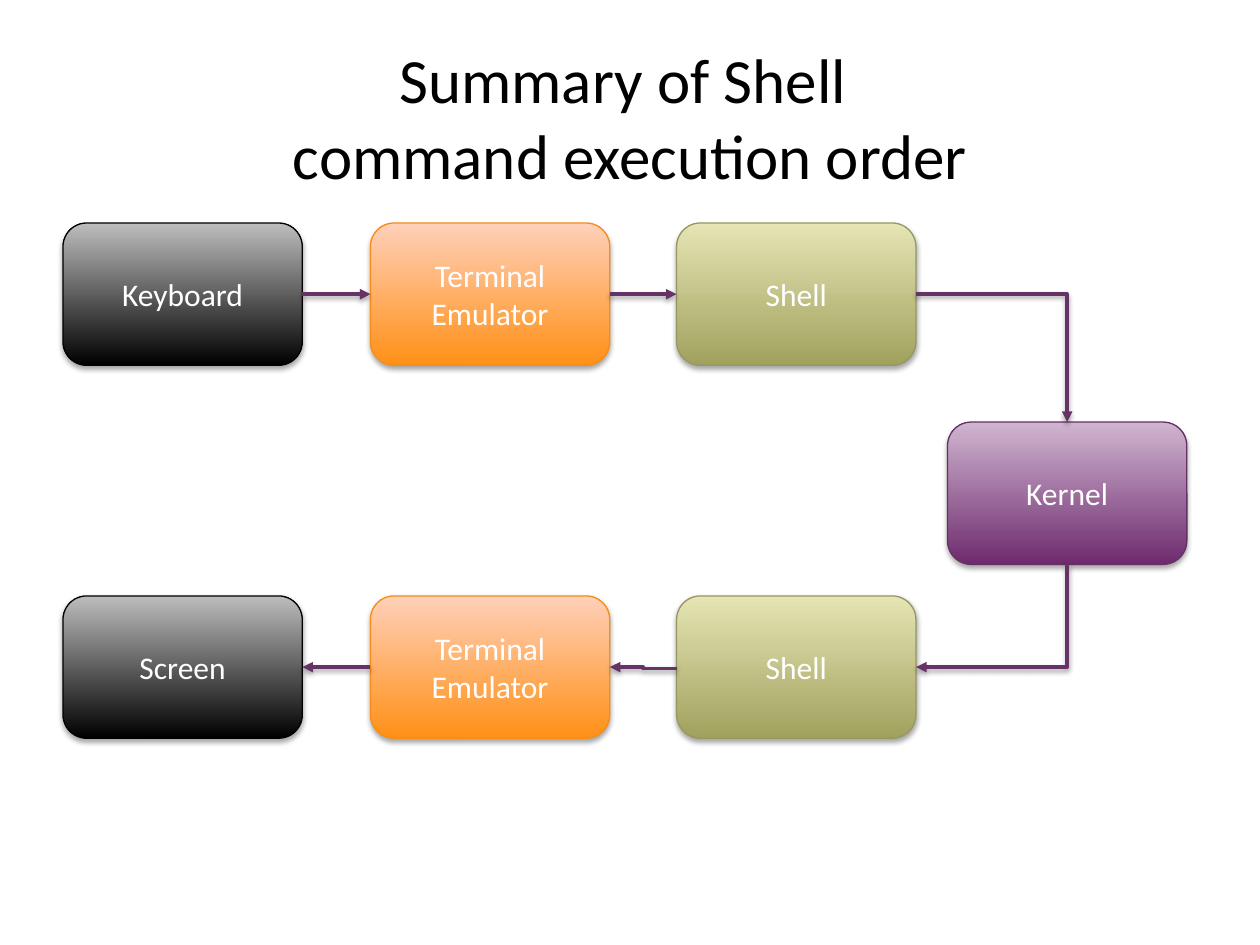
import dataclasses
import typing

import lxml.etree
import pptx
import pptx.dml.color
import pptx.enum.shapes
import pptx.enum.text
import pptx.oxml.ns
import pptx.util

FONT = "Calibri"
ARROW_COLOUR = "663366"
COLUMNS = (0.5, 2.94, 5.37, 7.52)
ROWS = (1.77, 3.35, 4.73)
BOX_WIDTH, BOX_HEIGHT = 1.9, 1.13
TOP, LEFT, BOTTOM, RIGHT = range(4)
JOG = 0.01


@dataclasses.dataclass(frozen=True)
class Palette:
    bottom: str
    top: str
    outline: str


@dataclasses.dataclass(frozen=True)
class Stage:
    label: str
    column: int
    row: int
    palette: Palette


BLACK = Palette("000000", "BDBDBD", "000000")
ORANGE = Palette("FF9016", "FFD0B9", "F78D18")
OLIVE = Palette("A1A15E", "E5E5B5", "979763")
PURPLE = Palette("6E2B6E", "D0B5D0", "653165")

STAGES = (
    Stage("Keyboard", 0, 0, BLACK),
    Stage("Terminal Emulator", 1, 0, ORANGE),
    Stage("Shell", 2, 0, OLIVE),
    Stage("Kernel", 3, 1, PURPLE),
    Stage("Screen", 0, 2, BLACK),
    Stage("Terminal Emulator", 1, 2, ORANGE),
    Stage("Shell", 2, 2, OLIVE),
)


def colour(value: str) -> pptx.dml.color.RGBColor:
    return pptx.dml.color.RGBColor.from_string(value)


def add_element(parent: typing.Any, tag: str, **attributes: typing.Any) -> typing.Any:
    values = {name: str(value) for name, value in attributes.items()}
    return lxml.etree.SubElement(parent, pptx.oxml.ns.qn(tag), values)


def add_shadow(shape: typing.Any, opacity: int, distance: float) -> None:
    effects = add_element(shape._element.spPr, "a:effectLst")
    shadow = add_element(
        effects, "a:outerShdw", blurRad=pptx.util.Pt(3.1),
        dist=pptx.util.Pt(distance), dir=90 * 60000, rotWithShape=0,
    )
    black = add_element(shadow, "a:srgbClr", val="000000")
    add_element(black, "a:alpha", val=opacity * 1000)


def format_run(run: typing.Any, size: int, text_colour: str) -> None:
    run.font.name = FONT
    run.font.size = pptx.util.Pt(size)
    run.font.color.rgb = colour(text_colour)


def write_title(title: typing.Any) -> None:
    title.left, title.top, title.width, title.height = map(
        pptx.util.Inches, (0.5, 0.3, 9, 1.25)
    )
    title.text_frame.vertical_anchor = pptx.enum.text.MSO_ANCHOR.MIDDLE
    paragraph = title.text_frame.paragraphs[0]
    paragraph.alignment = pptx.enum.text.PP_ALIGN.CENTER
    first_line = paragraph.add_run()
    first_line.text = "Summary of Shell "
    paragraph.add_line_break()
    second_line = paragraph.add_run()
    second_line.text = "command execution order"
    for run in (first_line, second_line):
        format_run(run, 36, "000000")


def add_stage(slide: typing.Any, stage: Stage) -> typing.Any:
    shape = slide.shapes.add_shape(
        pptx.enum.shapes.MSO_SHAPE.ROUNDED_RECTANGLE,
        *map(pptx.util.Inches, (COLUMNS[stage.column], ROWS[stage.row], BOX_WIDTH, BOX_HEIGHT)),
    )
    shape.fill.gradient()
    shape.fill.gradient_angle = 90
    for stop, position, value in zip(
        shape.fill.gradient_stops, (0, 1), (stage.palette.bottom, stage.palette.top)
    ):
        stop.position = position
        stop.color.rgb = colour(value)
    shape.line.color.rgb = colour(stage.palette.outline)
    shape.line.width = pptx.util.Pt(0.75)
    add_shadow(shape, 35, 1.8)
    shape.text_frame.word_wrap = True
    shape.text_frame.vertical_anchor = pptx.enum.text.MSO_ANCHOR.MIDDLE
    paragraph = shape.text_frame.paragraphs[0]
    paragraph.alignment = pptx.enum.text.PP_ALIGN.CENTER
    run = paragraph.add_run()
    run.text = stage.label
    format_run(run, 18, "FFFFFF")
    return shape


def side_point(shape: typing.Any, side: int) -> tuple[int, int]:
    across = {LEFT: 0, RIGHT: shape.width}.get(side, shape.width // 2)
    down = {TOP: 0, BOTTOM: shape.height}.get(side, shape.height // 2)
    return shape.left + across, shape.top + down


def add_arrow(
    slide: typing.Any, kind: typing.Any, start: tuple[int, int], end: tuple[int, int]
) -> typing.Any:
    arrow = slide.shapes.add_connector(kind, *start, *end)
    arrow.line.color.rgb = colour(ARROW_COLOUR)
    arrow.line.width = pptx.util.Pt(2)
    outline = arrow._element.spPr.find(pptx.oxml.ns.qn("a:ln"))
    add_element(outline, "a:tailEnd", type="triangle")
    add_shadow(arrow, 38, 1.6)
    return arrow


def add_straight(slide: typing.Any, source: typing.Any, target: typing.Any, sides: tuple[int, int]) -> None:
    arrow = add_arrow(
        slide, pptx.enum.shapes.MSO_CONNECTOR.STRAIGHT,
        side_point(source, sides[0]), side_point(target, sides[1]),
    )
    arrow.begin_connect(source, sides[0])
    arrow.end_connect(target, sides[1])


def add_corner(
    slide: typing.Any, start: tuple[int, int], end: tuple[int, int], quarter_turn: bool = False
) -> None:
    arrow = add_arrow(slide, pptx.enum.shapes.MSO_CONNECTOR.ELBOW, start, end)
    properties = arrow._element.spPr
    properties.find(pptx.oxml.ns.qn("a:prstGeom")).set("prst", "bentConnector2")
    if quarter_turn:
        frame = properties.find(pptx.oxml.ns.qn("a:xfrm"))
        frame.attrib.clear()
        frame.set("rot", str(90 * 60000))
        run, drop = abs(end[0] - start[0]), abs(end[1] - start[1])
        arrow.left = (start[0] + end[0] - drop) // 2
        arrow.top = (start[1] + end[1] - run) // 2
        arrow.width, arrow.height = drop, run


def main() -> None:
    presentation = pptx.Presentation()
    presentation.slide_width = pptx.util.Inches(10)
    presentation.slide_height = pptx.util.Inches(7.5)
    slide = presentation.slides.add_slide(presentation.slide_layouts[5])
    write_title(slide.shapes.title)
    keyboard, terminal_in, shell_in, kernel, screen, terminal_out, shell_out = [
        add_stage(slide, stage) for stage in STAGES
    ]
    add_straight(slide, keyboard, terminal_in, (RIGHT, LEFT))
    add_straight(slide, terminal_in, shell_in, (RIGHT, LEFT))
    add_corner(slide, side_point(shell_in, RIGHT), side_point(kernel, TOP))
    add_corner(slide, side_point(kernel, BOTTOM), side_point(shell_out, RIGHT), True)
    shell_x, shell_y = side_point(shell_out, LEFT)
    add_arrow(
        slide, pptx.enum.shapes.MSO_CONNECTOR.ELBOW,
        (shell_x, shell_y + pptx.util.Inches(JOG)), side_point(terminal_out, RIGHT),
    )
    add_straight(slide, terminal_out, screen, (LEFT, RIGHT))
    presentation.save("out.pptx")


if __name__ == "__main__":
    main()
